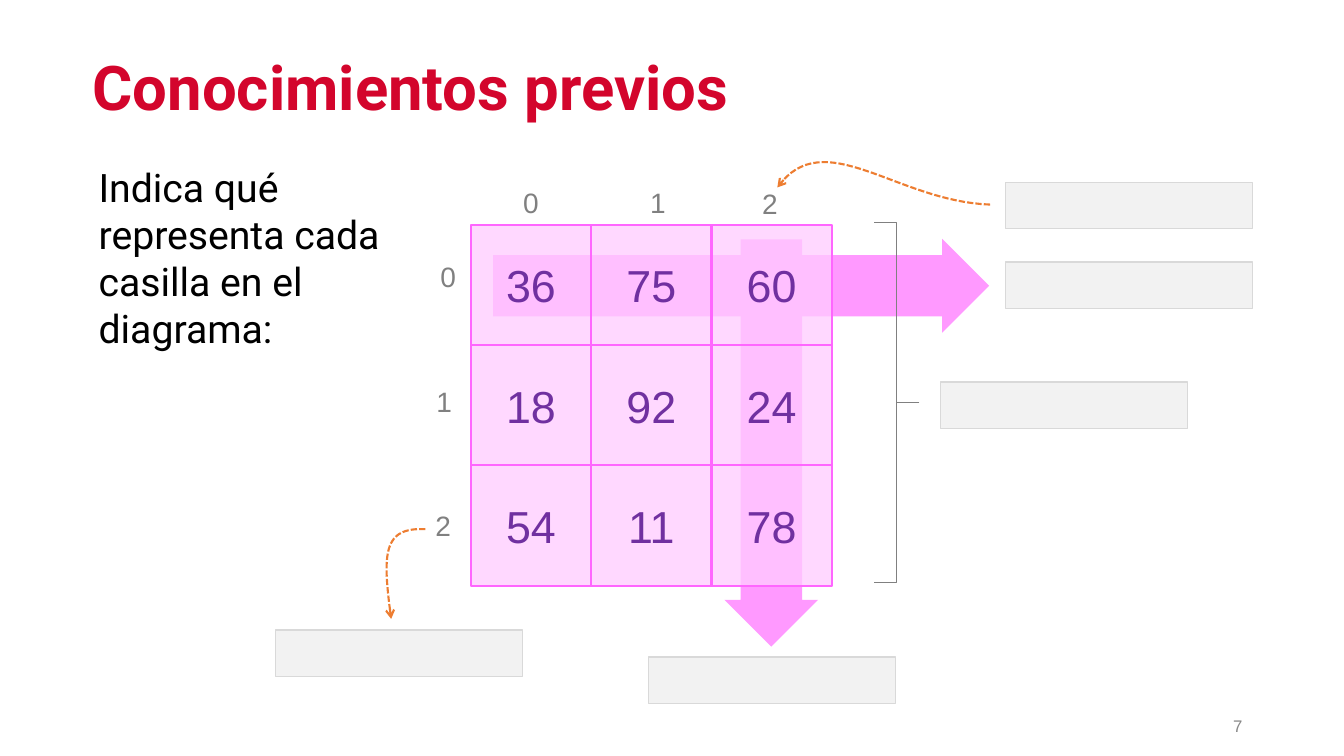
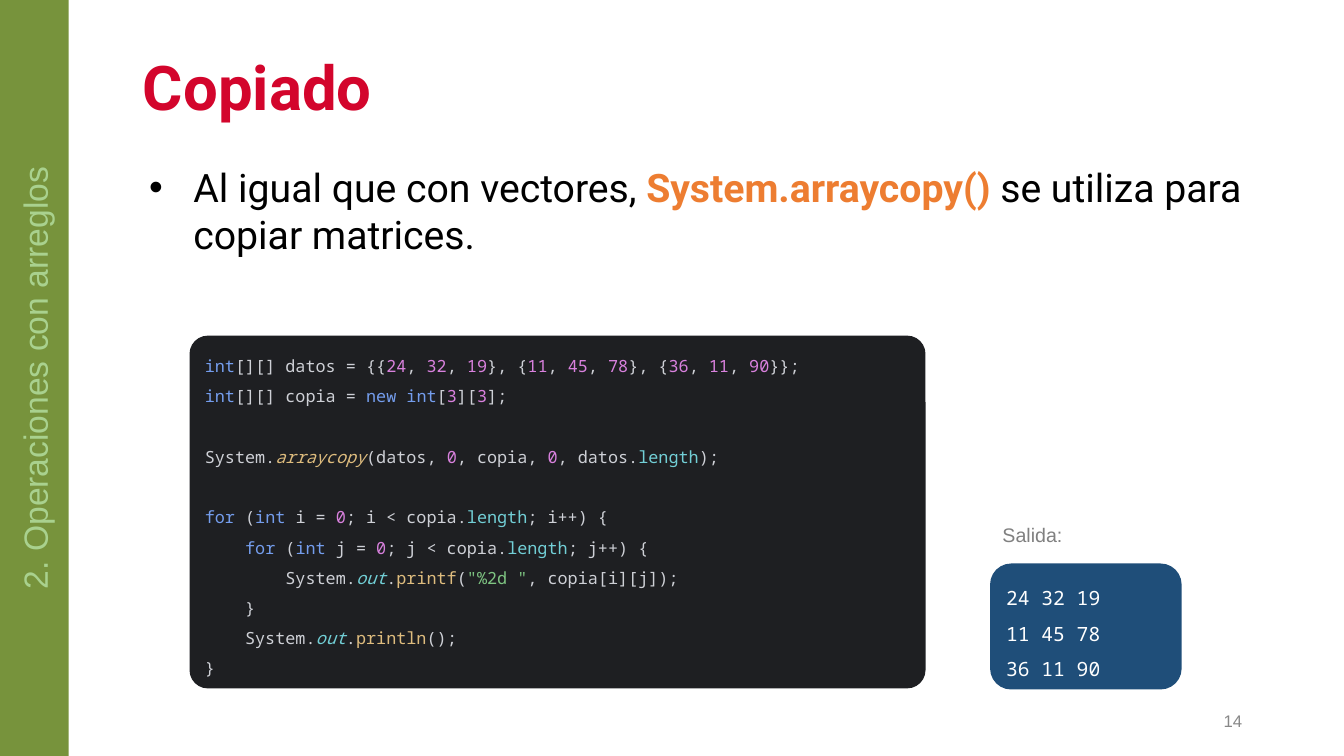
from copy import deepcopy
from dataclasses import dataclass, field
from itertools import groupby
from typing import Any, NamedTuple

from pptx import Presentation
from pptx import util as u
from pptx.dml.color import RGBColor
from pptx.enum import dml, shapes, text
from pptx.oxml.ns import qn
from pptx.slide import Slide

SHAPE = shapes.MSO_SHAPE
ALIGN = text.PP_ALIGN
ANCHOR = text.MSO_ANCHOR

RED, BLACK, WHITE, GRAY, PAGE_GRAY = "D3052C", "000000", "FFFFFF", "808080", "888888"
ORANGE, PURPLE, PINK, PALE_PINK, HOT_PINK = "ED7D31", "7030A0", "FF99FF", "FFCCFF", "FF66FF"
GREEN, PALE_GREEN, BLUE, CODE_BACK = "77933C", "A9D18E", "1F4E79", "1E1F22"
BLANK_FILL, BLANK_LINE = "F2F2F2", "D9D9D9"

KEYWORD, NUMBER, METHOD, MEMBER = "749DED", "D981DE", "DEBC7E", "72CFD6"
STRING, PLAIN = "7EC482", "CED0D6"
WORD_COLORS = {
    "int": KEYWORD, "new": KEYWORD, "for": KEYWORD, "length": MEMBER, "out": MEMBER,
    "arraycopy": METHOD, "printf": METHOD, "println": METHOD,
}
ITALIC_WORDS = {"arraycopy", "out"}

TITLE = {"name": "Roboto", "size": u.Pt(44), "bold": True, "color": RED}
BODY = {"name": "Roboto", "size": u.Pt(28), "color": BLACK}
CODE = {"name": "Noto Sans Mono", "size": u.Pt(12), "color": PLAIN}
OUTPUT = {"name": "Noto Sans Mono", "size": u.Pt(14), "color": WHITE}

JAVA_CODE = """int[][] datos = {{24, 32, 19}, {11, 45, 78}, {36, 11, 90}};
int[][] copia = new int[3][3];

System.arraycopy(datos, 0, copia, 0, datos.length);

for (int i = 0; i < copia.length; i++) {
    for (int j = 0; j < copia.length; j++) {
        System.out.printf("%2d ", copia[i][j]);
    }
    System.out.println();
}"""


def arial(size: int, color: str) -> dict[str, Any]:
    return {"name": "Arial", "size": u.Pt(size), "color": color}


class Area(NamedTuple):
    left: float
    top: float
    width: float
    height: float


class Span(NamedTuple):
    text: str
    style: dict[str, Any]


@dataclass
class Panel:
    """A preset shape with its look and its text, one list of spans a paragraph."""
    area: Area
    kind: Any = SHAPE.RECTANGLE
    fill: str | None = None
    line: str | None = None
    line_width: float = 1
    opacity: int = 100
    adjustments: tuple[float, ...] = ()
    rotation: float = 0
    paras: list[list[Span]] = field(default_factory=list)
    frame_format: dict[str, Any] = field(
        default_factory=lambda: {"vertical_anchor": ANCHOR.MIDDLE})
    para_format: dict[str, Any] = field(default_factory=dict)


class Curve(NamedTuple):
    """The four control points of a cubic curve, in inches."""
    start: tuple[float, float]
    pull_start: tuple[float, float]
    pull_end: tuple[float, float]
    end: tuple[float, float]


def inches(values: tuple[float, ...]) -> list[u.Length]:
    return [u.Inches(value) for value in values]


def rgb(color: str) -> RGBColor:
    return RGBColor.from_string(color)


def set_all(target: Any, values: dict[str, Any]) -> None:
    for name, value in values.items():
        setattr(target, name, value)


def add_span(para: Any, span: Span) -> Any:
    run = para.add_run()
    run.text = span.text
    for name, value in span.style.items():
        if name == "color":
            run.font.color.rgb = rgb(value)
        else:
            setattr(run.font, name, value)
    return run


def write(frame: Any, paras: list[list[Span]], frame_format: dict[str, Any],
          para_format: dict[str, Any]) -> None:
    set_all(frame, {"word_wrap": True, **frame_format})
    for index, spans in enumerate(paras):
        para = frame.add_paragraph() if index else frame.paragraphs[0]
        set_all(para, {"alignment": ALIGN.LEFT, **para_format})
        for span in spans:
            add_span(para, span)


def add_text(page: Slide, area: Area, spans: list[Span],
             frame_format: dict[str, Any] | None = None,
             para_format: dict[str, Any] | None = None) -> Any:
    box = page.shapes.add_textbox(*inches(area))
    write(box.text_frame, [spans], frame_format or {}, para_format or {})
    return box


def add_panel(page: Slide, panel: Panel) -> Any:
    shape = page.shapes.add_shape(panel.kind, *inches(panel.area))
    shape.shadow.inherit = False
    shape.rotation = panel.rotation
    for index, value in enumerate(panel.adjustments):
        shape.adjustments[index] = value
    if panel.fill:
        shape.fill.solid()
        shape.fill.fore_color.rgb = rgb(panel.fill)
        if panel.opacity < 100:
            color = shape.fill._xPr.find(".//" + qn("a:srgbClr"))
            alpha = color.makeelement(qn("a:alpha"), {"val": str(panel.opacity * 1000)})
            color.append(alpha)
    else:
        shape.fill.background()
    if panel.line:
        shape.line.color.rgb = rgb(panel.line)
        shape.line.width = u.Pt(panel.line_width)
    else:
        shape.line.fill.background()
    write(shape.text_frame, panel.paras, panel.frame_format, panel.para_format)
    return shape


def add_curved_arrow(page: Slide, curve: Curve, steps: int = 32) -> None:
    points = []
    for step in range(steps + 1):
        t = step / steps
        weights = ((1 - t) ** 3, 3 * t * (1 - t) ** 2, 3 * t ** 2 * (1 - t), t ** 3)
        points.append(tuple(
            u.Inches(sum(weight * point[axis] for weight, point in zip(weights, curve)))
            for axis in (0, 1)))
    builder = page.shapes.build_freeform(*points[0])
    builder.add_line_segments(points[1:], close=False)
    arrow = builder.convert_to_shape()
    arrow.shadow.inherit = False
    arrow.fill.background()
    arrow.line.color.rgb = rgb(ORANGE)
    set_all(arrow.line, {"width": u.Pt(1.5), "dash_style": dml.MSO_LINE.SQUARE_DOT})
    line = arrow.line._get_or_add_ln()
    line.append(line.makeelement(qn("a:tailEnd"), {"type": "arrow"}))


def add_heading(page: Slide, title: str, left: float, number: str, number_top: float) -> None:
    """Adds the title and the page number."""
    middle = {"vertical_anchor": ANCHOR.MIDDLE}
    add_text(page, Area(left, 0.47, 12.42 - left, 0.86), [Span(title, TITLE)],
             middle, {"line_spacing": 0.9})
    add_text(page, Area(9.42, number_top, 3, 0.4), [Span(number, arial(12, PAGE_GRAY))],
             middle, {"alignment": ALIGN.RIGHT})


def indent(box: Any, margin: float, first: float, bullet: str = "") -> None:
    properties = box.text_frame.paragraphs[0]._p.get_or_add_pPr()
    properties.set("marL", str(u.Inches(margin)))
    properties.set("indent", str(u.Inches(first)))
    if bullet:
        font = properties.makeelement(qn("a:buFont"), {"typeface": "Arial"})
        mark = properties.makeelement(qn("a:buChar"), {"char": bullet})
        properties.extend([font, mark])


def code_spans(line: str) -> list[Span]:
    """Splits a line of code into coloured spans."""
    spans = []
    for index, part in enumerate(line.split('"')):
        if index % 2:
            spans.append(Span(f'"{part}"', CODE | {"color": STRING}))
            continue
        for _, letters in groupby(part, str.isalnum):
            word = "".join(letters)
            color = NUMBER if word.isdigit() else WORD_COLORS.get(word, PLAIN)
            spans.append(Span(word, CODE | {"color": color, "italic": word in ITALIC_WORDS}))
    return spans


def write_code(para: Any, code: str) -> None:
    para.line_spacing = 1.5
    para.alignment = ALIGN.LEFT
    for index, line in enumerate(code.splitlines()):
        if index:
            para.add_line_break()
        for span in code_spans(line):
            add_span(para, span)
    run_format = para.runs[0]._r.rPr
    for line_break in para._p.findall(qn("a:br")):
        line_break.append(deepcopy(run_format))


def build_matrix_page(page: Slide) -> None:
    for area, rotation in ((Area(5.63, 3.93, 4.04, 0.93), 90),
                           (Area(4.89, 2.37, 4.92, 0.93), 0)):
        add_panel(page, Panel(area, SHAPE.RIGHT_ARROW, PINK, rotation=rotation,
                              adjustments=(0.654, 0.5)))
    add_heading(page, "Conocimientos previos", 0.82, "7", 7)
    question = add_text(page, Area(0.82, 1.57, 3.27, 5.23), [
        Span("Indica qué representa cada casilla en el diagrama:", BODY)])
    indent(question, 0.06, 0)

    matrix = ((36, 75, 60), (18, 92, 24), (54, 11, 78))
    cell = 3.58 / len(matrix)
    for row, values in enumerate(matrix):
        for column, value in enumerate(values):
            add_panel(page, Panel(
                Area(4.67 + column * cell, 2.23 + row * cell, cell, cell),
                fill=PALE_PINK, opacity=75, line=HOT_PINK, line_width=1.5,
                paras=[[Span(str(value), arial(32, PURPLE))]],
                para_format={"alignment": ALIGN.CENTER}))

    column_labels = ((5.09, 1.79), (6.35, 1.79), (7.46, 1.8))
    row_labels = ((4.27, 2.53), (4.23, 3.77), (4.22, 5))
    for places in (column_labels, row_labels):
        for index, (left, top) in enumerate(places):
            add_text(page, Area(left, top, 0.36, 0.44),
                     [Span(str(index), arial(20, GRAY))], {"word_wrap": False})

    add_panel(page, Panel(Area(8.67, 2.21, 0.44, 3.57), SHAPE.RIGHT_BRACE,
                          line=GRAY, line_width=0.75, adjustments=(0, 0.5)))
    add_curved_arrow(page, Curve((9.82, 2.03), (8.89, 2), (8.17, 1.22), (7.71, 1.86)))
    add_curved_arrow(page, Curve((4.22, 5.25), (3.8, 5.23), (3.79, 5.48), (3.88, 6.14)))
    for left, top in ((9.97, 1.81), (2.73, 6.25), (9.33, 3.79), (9.97, 2.6), (6.43, 6.52)):
        add_panel(page, Panel(Area(left, top, 2.45, 0.46), fill=BLANK_FILL, line=BLANK_LINE))


def build_copy_page(page: Slide) -> None:
    add_heading(page, "Copiado", 1.32, "14", 6.95)
    body = add_text(page, Area(1.32, 1.57, 11.1, 5.23), [
        Span("Al igual que con vectores, ", BODY),
        Span("System.arraycopy()", BODY | {"color": ORANGE, "bold": True}),
        Span(" se utiliza para copiar matrices.", BODY)])
    indent(body, 0.5, -0.44, "•")

    band = add_panel(page, Panel(
        Area(0, 0, 0.68, 7.5), fill=GREEN,
        paras=[[Span("2. Operaciones con arreglos", arial(24, PALE_GREEN))]],
        para_format={"alignment": ALIGN.CENTER}))
    band.text_frame._txBody.bodyPr.set("vert", "vert270")

    code_box = add_panel(page, Panel(Area(1.88, 3.33, 7.3, 3.5), SHAPE.ROUNDED_RECTANGLE,
                                     CODE_BACK, adjustments=(0.052,)))
    write_code(code_box.text_frame.paragraphs[0], JAVA_CODE)

    add_panel(page, Panel(
        Area(9.82, 5.59, 1.9, 1.25), SHAPE.ROUNDED_RECTANGLE, BLUE,
        paras=[[Span(row, OUTPUT)] for row in ("24 32 19", "11 45 78", "36 11 90")],
        frame_format={"vertical_anchor": ANCHOR.TOP}, para_format={"line_spacing": 1.5}))
    add_panel(page, Panel(Area(9.82, 5.05, 1.23, 0.5), SHAPE.ROUNDED_RECTANGLE,
                          paras=[[Span("Salida:", arial(14, GRAY))]]))


def main() -> None:
    deck = Presentation()
    deck.slide_width, deck.slide_height = inches((13.33, 7.5))
    for build in (build_matrix_page, build_copy_page):
        build(deck.slides.add_slide(deck.slide_layouts[6]))
    deck.save("out.pptx")


if __name__ == "__main__":
    main()
